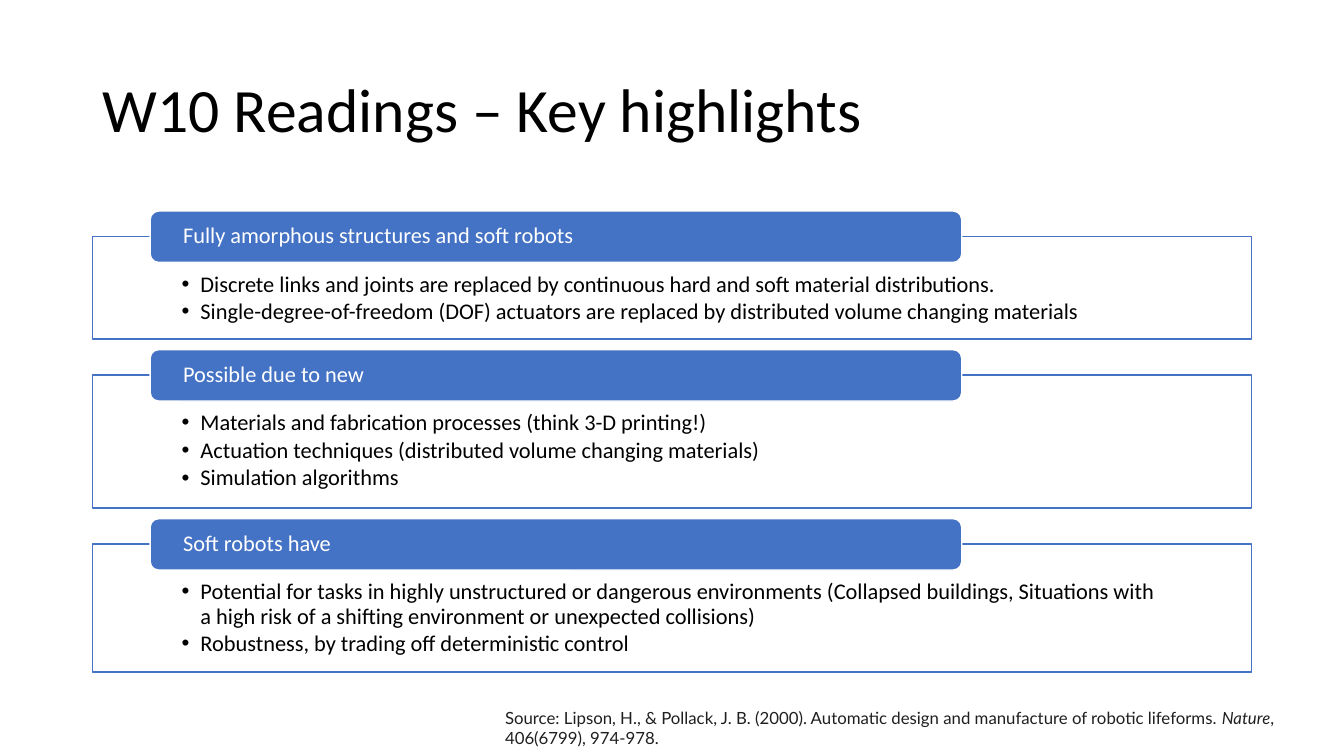
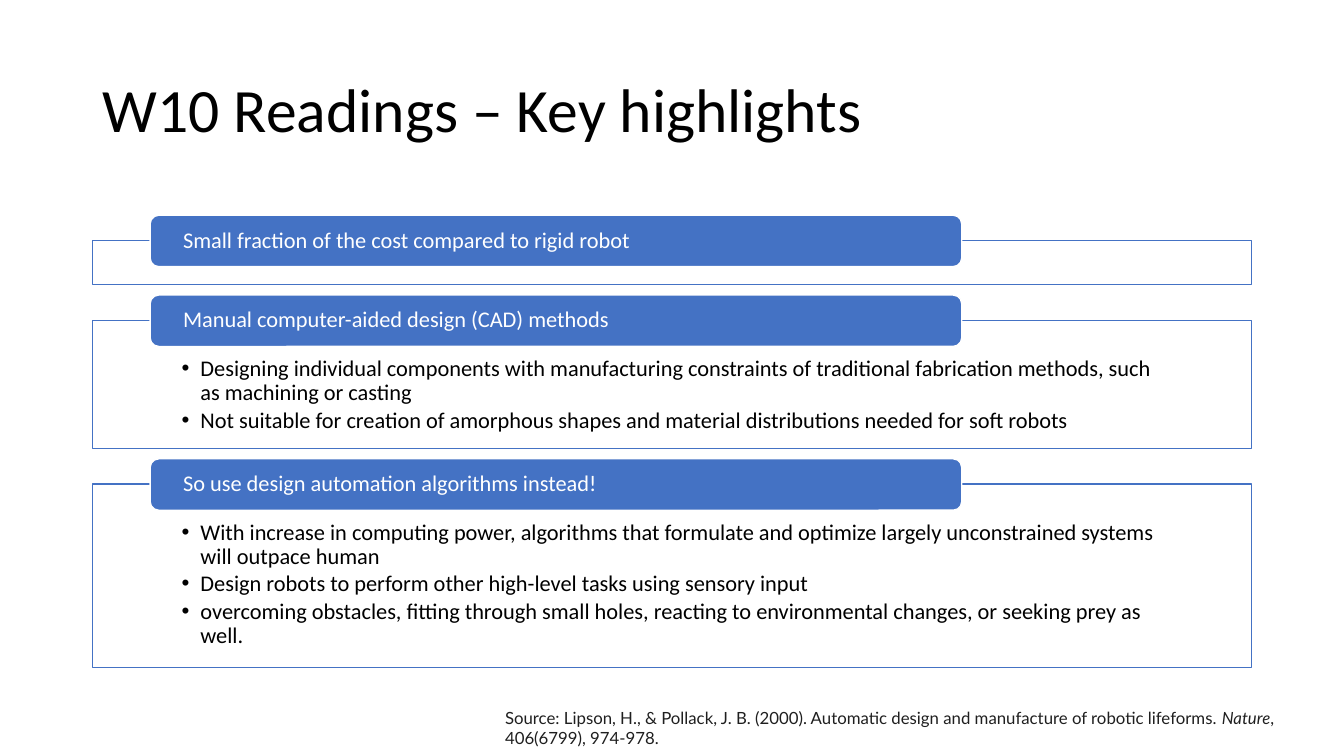
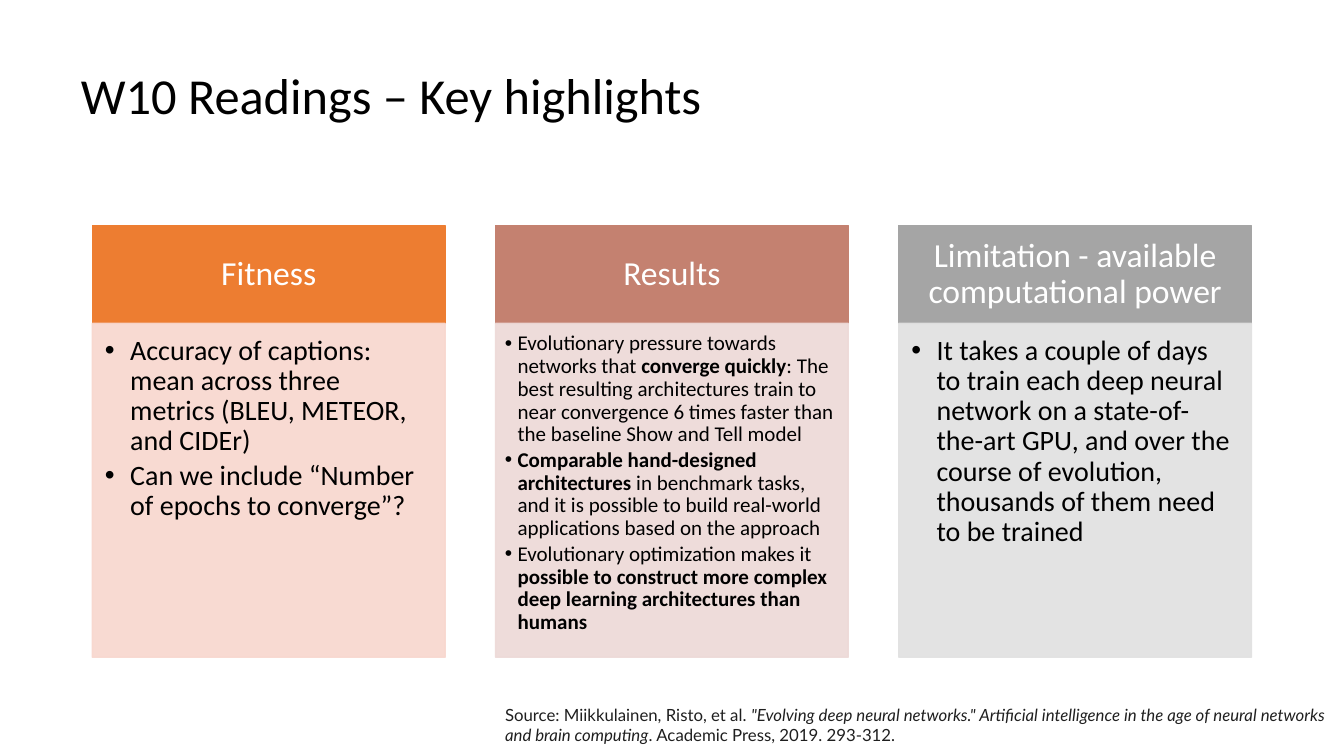
"""Build three slides of reading highlights: two of stacked bands, one of columns."""
from lxml.etree import SubElement
from pptx import Presentation
from pptx.dml.color import RGBColor
from pptx.enum.shapes import MSO_SHAPE
from pptx.enum.text import MSO_ANCHOR, MSO_AUTO_SIZE, PP_ALIGN
from pptx.oxml.ns import qn
from pptx.util import Emu, Pt

EMU_PER_PX = 9525
COLORS = {
    "black": "000000", "white": "FFFFFF", "source": "1F1F1F", "blue": "4472C4",
    "orange": "ED7D31", "orange pale": "F8D7CE",
    "rose": "C48170", "rose pale": "EDD9D7",
    "gray": "A5A5A5", "gray pale": "E1E1E1",
}
TITLE = "W10 Readings – Key highlights"
LEFT, WIDTH = 88, 1104
TAB_RISE, BAND_GAP = 24, 34
COLUMN_WIDTH, COLUMN_STEP = 336, 384

LIPSON = [
    ("Source: Lipson, H., & Pollack, J. B. (2000). Automatic design and manufacture of robotic lifeforms. ", ""),
    ("Nature", "i"),
    (", 406(6799), 974-978.", ""),
]
MIIKKULAINEN = [
    ("Source: Miikkulainen, Risto, et al. ", ""),
    ('"Evolving deep neural networks." Artificial intelligence in the age of '
     "neural networks and brain computing", "i"),
    (". Academic Press, 2019. 293-312.", ""),
]
SOFT_ROBOT_BANDS = [
    ("Fully amorphous structures and soft robots", 98, [
        "Discrete links and joints are replaced by continuous hard and soft material distributions.",
        "Single-degree-of-freedom (DOF) actuators are replaced by distributed volume changing materials",
    ]),
    ("Possible due to new", 127, [
        "Materials and fabrication processes (think 3-D printing!)",
        "Actuation techniques (distributed volume changing materials)",
        "Simulation algorithms",
    ]),
    ("Soft robots have", 122, [
        "Potential for tasks in highly unstructured or dangerous environments (Collapsed buildings, "
        "Situations with a high risk of a shifting environment or unexpected collisions)",
        "Robustness, by trading off deterministic control",
    ]),
]
DESIGN_BANDS = [
    ("Small fraction of the cost compared to rigid robot", 42, []),
    ("Manual computer-aided design (CAD) methods", 122, [
        "Designing individual components with manufacturing constraints of traditional "
        "fabrication methods, such as machining or casting",
        "Not suitable for creation of amorphous shapes and material distributions needed for soft robots",
    ]),
    ("So use design automation algorithms instead!", 175, [
        "With increase in computing power, algorithms that formulate and optimize largely "
        "unconstrained systems will outpace human",
        "Design robots to perform other high-level tasks using sensory input",
        "overcoming obstacles, fitting through small holes, reacting to environmental changes, "
        "or seeking prey as well.",
    ]),
]
LARGE = {"size": 20, "indent": 24, "insets": (12, 12, 15, 16)}
SMALL = {"size": 15, "indent": 12, "insets": (9, 9, 12, 12)}
COLUMNS = [
    ("Fitness", "orange", LARGE, [
        "Accuracy of captions: mean across three metrics (BLEU, METEOR, and CIDEr)",
        "Can we include “Number of epochs to converge”?",
    ]),
    ("Results", "rose", SMALL, [
        [("Evolutionary pressure towards networks that ", ""), ("converge quickly", "b"),
         (": The best resulting architectures train to near convergence 6 times faster "
          "than the baseline Show and Tell model", "")],
        [("Comparable hand-designed architectures ", "b"),
         ("in benchmark tasks, and it is possible to build real-world applications "
          "based on the approach", "")],
        [("Evolutionary optimization makes it ", ""),
         ("possible to construct more complex deep learning architectures than humans", "b")],
    ]),
    ("Limitation - available computational power", "gray", LARGE, [
        "It takes a couple of days to train each deep neural network on a state-of-the-art GPU, "
        "and over the course of evolution, thousands of them need to be trained",
    ]),
]


def px(length):
    """Turn px into EMU."""
    return Emu(length * EMU_PER_PX)


def color(name):
    """Look up a named colour."""
    return RGBColor.from_string(COLORS[name])


def add_bullet(para, indent):
    """Give a paragraph a hanging round bullet."""
    properties = para._p.get_or_add_pPr()
    properties.set("marL", str(px(indent)))
    properties.set("indent", str(-px(indent)))
    SubElement(properties, qn("a:buFont")).set("typeface", "Arial")
    SubElement(properties, qn("a:buChar")).set("char", "•")


def write(box, paragraphs, size, ink="black", font="Calibri", insets=(10, 5, 10, 5),
          anchor=MSO_ANCHOR.TOP, align=PP_ALIGN.LEFT, spacing=0.9, indent=0):
    """Fill a box with paragraphs, each a string or a list of (text, style) spans."""
    frame = box.text_frame
    frame.word_wrap = True
    frame.vertical_anchor = anchor
    frame.margin_left, frame.margin_top, frame.margin_right, frame.margin_bottom = map(px, insets)
    for index, content in enumerate(paragraphs):
        para = frame.add_paragraph() if index else frame.paragraphs[0]
        para.alignment = align
        para.line_spacing = spacing
        if indent:
            para.space_after = Pt(size * 0.15)
            add_bullet(para, indent)
        para.font.size = Pt(size)
        para.font.name = font
        para.font.color.rgb = color(ink)
        spans = [(content, "")] if isinstance(content, str) else content
        for text, style in spans:
            span = para.add_run()
            span.text = text
            if style == "b":
                span.font.bold = True
            elif style == "i":
                span.font.italic = True


def add_text(page, place, paragraphs, size, **options):
    """Add a text box."""
    box = page.shapes.add_textbox(*map(px, place))
    write(box, paragraphs, size, **options)
    return box


def add_box(page, place, fill, line, kind=MSO_SHAPE.RECTANGLE):
    """Add a filled and outlined shape."""
    box = page.shapes.add_shape(kind, *map(px, place))
    box.shadow.inherit = False
    box.fill.solid()
    box.fill.fore_color.rgb = color(fill)
    box.line.color.rgb = color(line)
    box.line.width = Pt(1)
    return box


def fade(box, percent):
    """Set the opacity of a shape's fill and line."""
    for paint in box._element.spPr.iter(qn("a:srgbClr")):
        SubElement(paint, qn("a:alpha")).set("val", str(percent * 1000))


def add_page(deck, source, source_top=669, title_place=(LEFT, 38, WIDTH, 139), title_size=44):
    """Add a page with its title and source line."""
    page = deck.slides.add_slide(deck.slide_layouts[6])
    add_text(page, title_place, [TITLE], title_size, anchor=MSO_ANCHOR.MIDDLE)
    box = add_text(page, (471, source_top, 809, 48), [source], 12, ink="source", font="Lato", spacing=1.0)
    box.text_frame.auto_size = MSO_AUTO_SIZE.SHAPE_TO_FIT_TEXT
    return page


def add_bands(page, top, bands):
    """Stack outlined bands, each with a heading tab over its top edge."""
    for heading, height, bullets in bands:
        body = add_box(page, (LEFT, top, WIDTH, height), "white", "blue")
        if bullets:
            write(body, bullets, 16, insets=(85, 35, 85, 12), indent=18)
        tab = add_box(page, (143, top - TAB_RISE, 773, 49), "blue", "white", MSO_SHAPE.ROUNDED_RECTANGLE)
        write(tab, [heading], 16, ink="white", insets=(29, 0, 29, 0), anchor=MSO_ANCHOR.MIDDLE)
        top += height + BAND_GAP


def add_columns(page, columns):
    """Set headed columns side by side."""
    for index, (heading, tone, style, bullets) in enumerate(columns):
        left = LEFT + index * COLUMN_STEP
        header = add_box(page, (left, 215, COLUMN_WIDTH, 93), tone, tone)
        write(header, [heading], 24, ink="white", insets=(18, 11, 18, 11),
              anchor=MSO_ANCHOR.MIDDLE, align=PP_ALIGN.CENTER)
        pale = f"{tone} pale"
        body = add_box(page, (left, 308, COLUMN_WIDTH, 318), pale, pale)
        fade(body, 90)
        write(body, bullets, **style)


def main():
    """Build and save the deck."""
    deck = Presentation()
    deck.slide_width, deck.slide_height = px(1280), px(720)
    add_bands(add_page(deck, LIPSON), 225, SOFT_ROBOT_BANDS)
    add_bands(add_page(deck, LIPSON), 229, DESIGN_BANDS)
    add_columns(add_page(deck, MIIKKULAINEN, 666, (67, 34, 1145, 119), 36), COLUMNS)
    deck.save("out.pptx")


if __name__ == "__main__":
    main()
